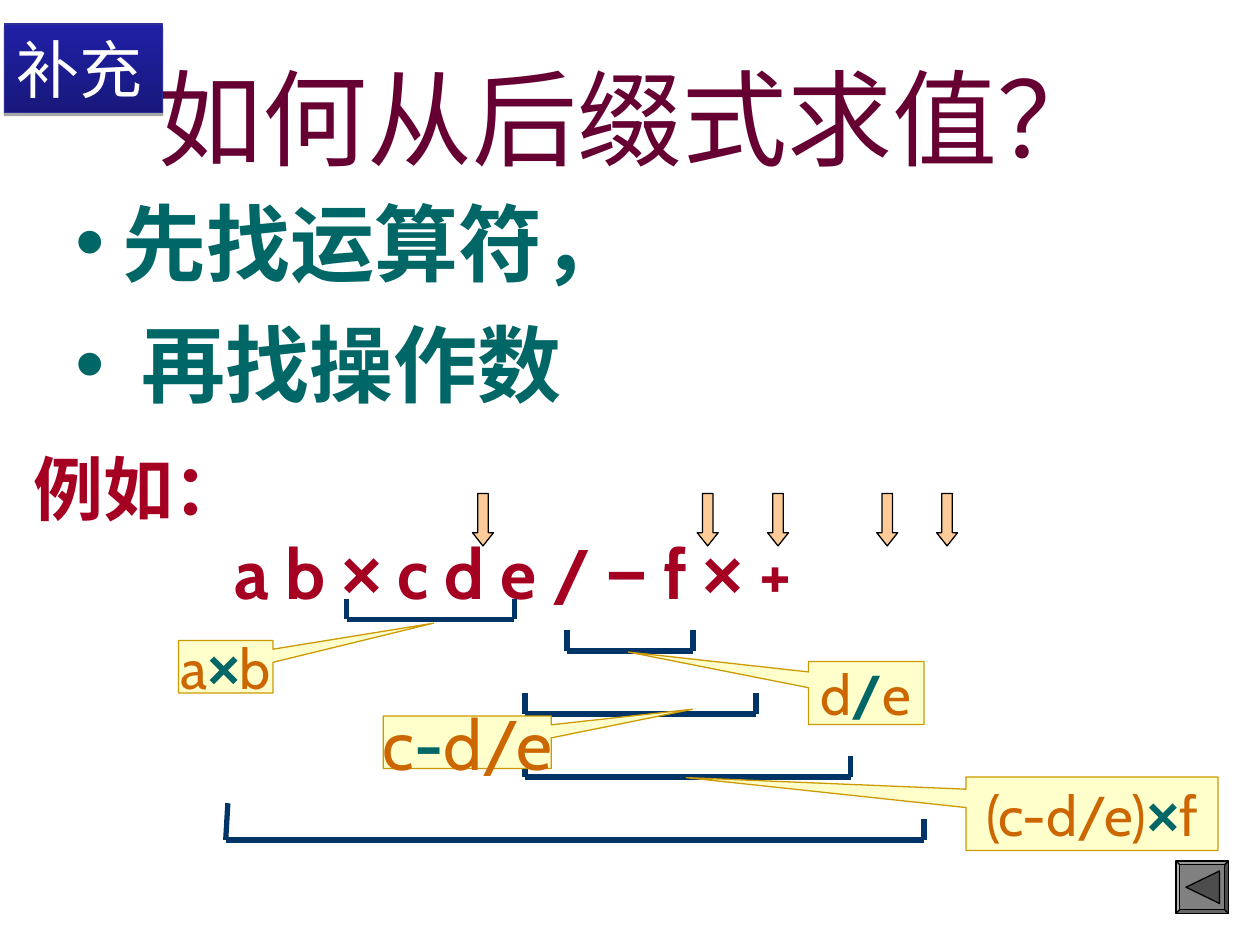
import pptx
import pptx.dml.color
import pptx.enum.shapes
import pptx.enum.text
import pptx.util
from dataclasses import dataclass
from lxml import etree
from pptx.oxml.ns import qn

SHAPE = pptx.enum.shapes.MSO_SHAPE
ALIGN = pptx.enum.text.PP_ALIGN
ANCHOR = pptx.enum.text.MSO_ANCHOR


@dataclass(frozen=True)
class Theme:
    plain: str = "Arial"
    latin: str = "Cabin"
    title: str = "660033"
    point: str = "006666"
    example: str = "A50021"
    bracket: str = "003366"
    note: str = "CC6600"
    note_fill: str = "FFFFCC"
    note_line: str = "CC9900"
    arrow: str = "FFCC99"
    outline: str = "000000"
    button: str = "808080"
    button_mark: str = "4D4D4D"
    badge_dark: str = "18187C"
    badge_light: str = "2020A6"
    badge_line: str = "2F2F98"
    badge_text: str = "FFFFFF"
    title_size: int = 60
    point_size: int = 48
    example_size: int = 40
    badge_size: int = 36
    note_size: int = 32
    hairline: float = 0.75
    bracket_width: int = 3


def rgb(code):
    return pptx.dml.color.RGBColor.from_string(code)


class SlideBuilder:
    COLUMNS, ROWS = 120, 90

    def __init__(self, deck, theme):
        self.theme = theme
        self.slide = deck.slides.add_slide(deck.slide_layouts[1])
        self.column = deck.slide_width / self.COLUMNS
        self.row = deck.slide_height / self.ROWS

    def place(self, left, top, width, height):
        return (round(left * self.column), round(top * self.row),
                round(width * self.column), round(height * self.row))

    def move(self, holder, box):
        holder.left, holder.top, holder.width, holder.height = self.place(*box)
        holder.text_frame.auto_size = pptx.enum.text.MSO_AUTO_SIZE.NONE

    def run(self, paragraph, text, size, color, font, bold=False):
        piece = paragraph.add_run()
        piece.text = text
        piece.font.size = pptx.util.Pt(size)
        piece.font.name = font
        piece.font.bold = bold
        piece.font.color.rgb = rgb(color)

    def paragraphs(self, frame, count):
        return [frame.paragraphs[0]] + [frame.add_paragraph() for _ in range(count - 1)]

    def title(self, text, box):
        heading = self.slide.shapes.title
        self.move(heading, box)
        heading.text_frame.vertical_anchor = ANCHOR.MIDDLE
        paragraph = heading.text_frame.paragraphs[0]
        paragraph.alignment = ALIGN.CENTER
        self.run(paragraph, text, self.theme.title_size, self.theme.title, self.theme.plain)

    def points(self, texts, box):
        body = self.slide.placeholders[1]
        self.move(body, box)
        for paragraph, text in zip(self.paragraphs(body.text_frame, len(texts)), texts):
            paragraph.space_before = pptx.util.Pt(12)
            self.run(paragraph, text, self.theme.point_size, self.theme.point,
                     self.theme.plain, True)

    def example(self, label, expression, indent, box):
        frame = self.slide.shapes.add_textbox(*self.place(*box)).text_frame
        frame.word_wrap = True
        heading, formula = self.paragraphs(frame, 2)
        formula._p.get_or_add_pPr().set("marL", str(round(indent * self.column)))
        for paragraph, runs in ((heading, [(label, self.theme.latin)]), (formula, expression)):
            for text, font in runs:
                self.run(paragraph, text, self.theme.example_size, self.theme.example, font, True)

    def shape(self, kind, box, fill, line):
        item = self.slide.shapes.add_shape(kind, *self.place(*box))
        item.shadow.inherit = False
        self.paint(item, fill, line)
        return item

    def paint(self, item, fill, line):
        item.fill.solid()
        item.fill.fore_color.rgb = rgb(fill)
        item.line.color.rgb = rgb(line)
        item.line.width = pptx.util.Pt(self.theme.hairline)

    def line(self, start, end):
        stroke = self.slide.shapes.add_connector(
            pptx.enum.shapes.MSO_CONNECTOR.STRAIGHT, *self.place(*start, *end))
        stroke.line.color.rgb = rgb(self.theme.bracket)
        stroke.line.width = pptx.util.Pt(self.theme.bracket_width)
        etree.SubElement(stroke._element.spPr, qn("a:effectLst"))

    def bracket(self, left, right, base, left_tip=None):
        self.line((left, base), (right, base))
        self.line(left_tip or (left, base - 2), (left, base))
        self.line((right, base - 2), (right, base))

    def callout(self, box, tip, runs, size):
        note = self.shape(SHAPE.RECTANGULAR_CALLOUT, box,
                          self.theme.note_fill, self.theme.note_line)
        note.adjustments[0], note.adjustments[1] = tip
        frame = note.text_frame
        frame.word_wrap = False
        frame.vertical_anchor = ANCHOR.MIDDLE
        paragraph = frame.paragraphs[0]
        paragraph.alignment = ALIGN.CENTER
        for text in runs:
            operator = text in ("×", "/", "-")
            self.run(paragraph, text, size,
                     self.theme.point if operator else self.theme.note,
                     self.theme.plain if text == "×" else self.theme.latin, operator)

    def arrow(self, left):
        pointer = self.shape(SHAPE.DOWN_ARROW, (left, 47, 2, 5),
                             self.theme.arrow, self.theme.outline)
        pointer.adjustments[1] = 0.63

    def back_button(self, left, top, side):
        frame = self.shape(SHAPE.BEVEL, (left, top, side, side),
                           self.theme.button, self.theme.outline)
        frame.adjustments[0] = 0.07
        corners = [(round((left + x * side) * self.column), round((top + y * side) * self.row))
                   for x, y in ((0.19, 0.5), (0.83, 0.19), (0.83, 0.81))]
        outline = self.slide.shapes.build_freeform(*corners[0])
        outline.add_line_segments(corners[1:], close=True)
        triangle = outline.convert_to_shape()
        triangle.shadow.inherit = False
        self.paint(triangle, self.theme.button_mark, self.theme.outline)

    def badge(self, text, box):
        label = self.shape(SHAPE.RECTANGLE, box, self.theme.badge_dark, self.theme.badge_line)
        label.fill.gradient()
        label.fill.gradient_angle = 90
        for stop, color, position in zip(label.fill.gradient_stops,
                                         (self.theme.badge_dark, self.theme.badge_light), (0, 1)):
            stop.color.rgb = rgb(color)
            stop.position = position
        effects = label._element.spPr.find(qn("a:effectLst"))
        shadow = etree.SubElement(effects, qn("a:outerShdw"), dist="22860", dir="5400000",
                                  rotWithShape="0")
        tint = etree.SubElement(shadow, qn("a:srgbClr"), val=self.theme.outline)
        etree.SubElement(tint, qn("a:alpha"), val="35000")
        label.text_frame.vertical_anchor = ANCHOR.TOP
        paragraph = label.text_frame.paragraphs[0]
        paragraph.alignment = ALIGN.LEFT
        self.run(paragraph, text, self.theme.badge_size, self.theme.badge_text, self.theme.plain)


def main():
    deck = pptx.Presentation()
    deck.slide_width = pptx.util.Inches(10)
    deck.slide_height = pptx.util.Inches(7.5)
    theme = Theme()
    page = SlideBuilder(deck, theme)

    page.title("如何从后缀式求值？", (6, 3.6, 108, 15))
    page.points(["先找运算符，", " 再找操作数"], (6, 17.6, 111.5, 69.4))
    page.example("例如：", [("a b ", theme.latin), ("×", theme.plain), (" c d e / ", theme.latin),
                          ("−", theme.plain), (" f ", theme.latin), ("×", theme.plain),
                          (" +", theme.latin)], 19.2, (2, 41.8, 81, 17.3))

    for left, right, base in ((33, 49, 59), (54, 66, 62), (50, 72, 68), (50, 81, 74)):
        page.bracket(left, right, base)
    page.bracket(21.5, 88, 80, left_tip=(21.7, 76.5))

    for box, tip, runs, size in (
        ((17, 61, 9, 5), (2.2, -0.83), ("a", "×", "b"), theme.note_size),
        ((77, 63, 11, 6), (-2.06, -0.65), ("d", "/", "e"), theme.note_size),
        ((36.5, 68.2, 16, 5), (1.34, -0.63), ("c", "-", "d/e"), theme.example_size),
        ((92, 74, 24, 7), (-1.61, -0.49), ("(c-d/e)", "×", "f"), theme.note_size),
    ):
        page.callout(box, tip, runs, size)

    for left in (45, 66.4, 73.1, 83.5, 89.2):
        page.arrow(left)
    page.back_button(112, 82, 5)
    page.badge("补充", (0.4, 2.3, 15.1, 8.4))
    deck.save("out.pptx")


if __name__ == "__main__":
    main()
